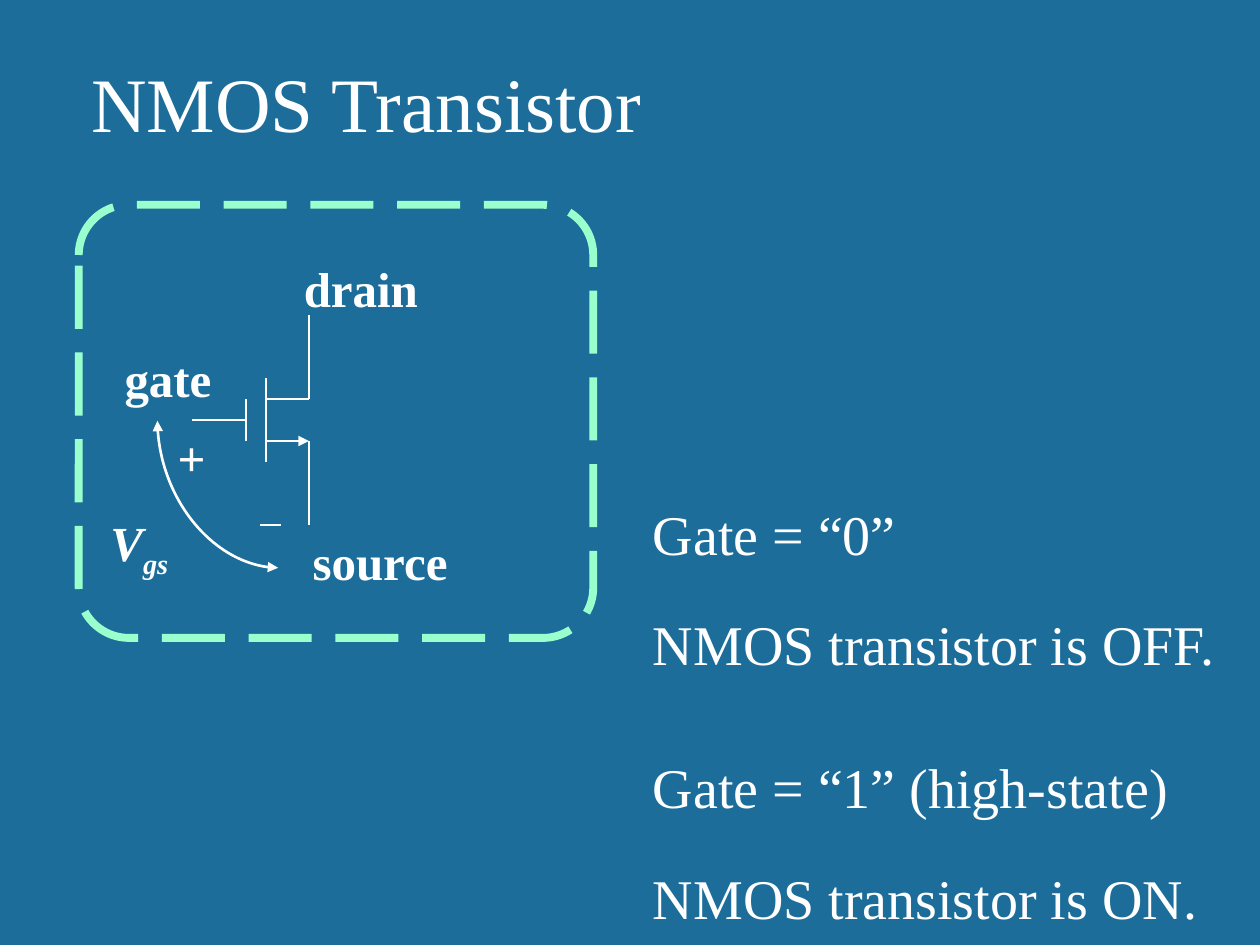
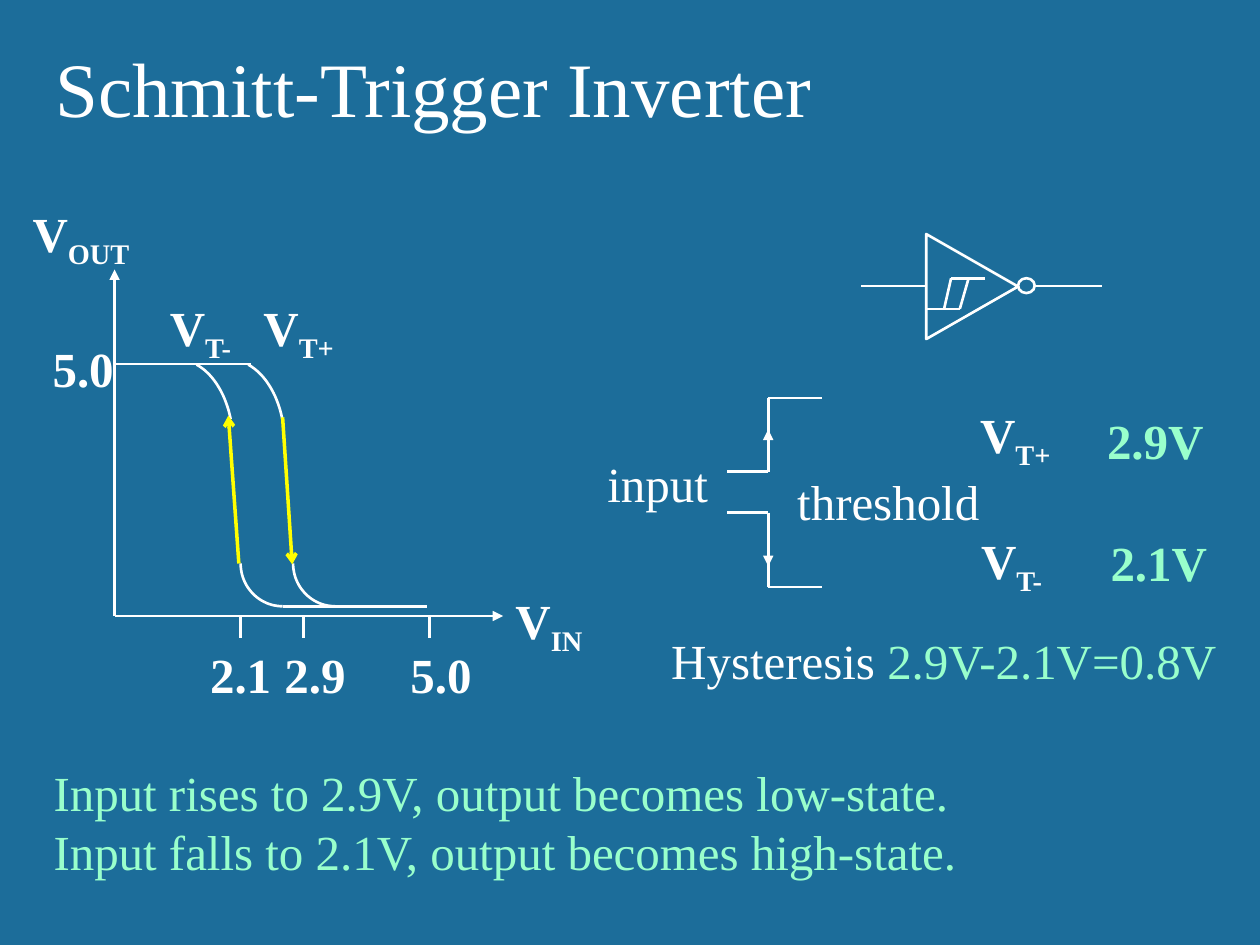
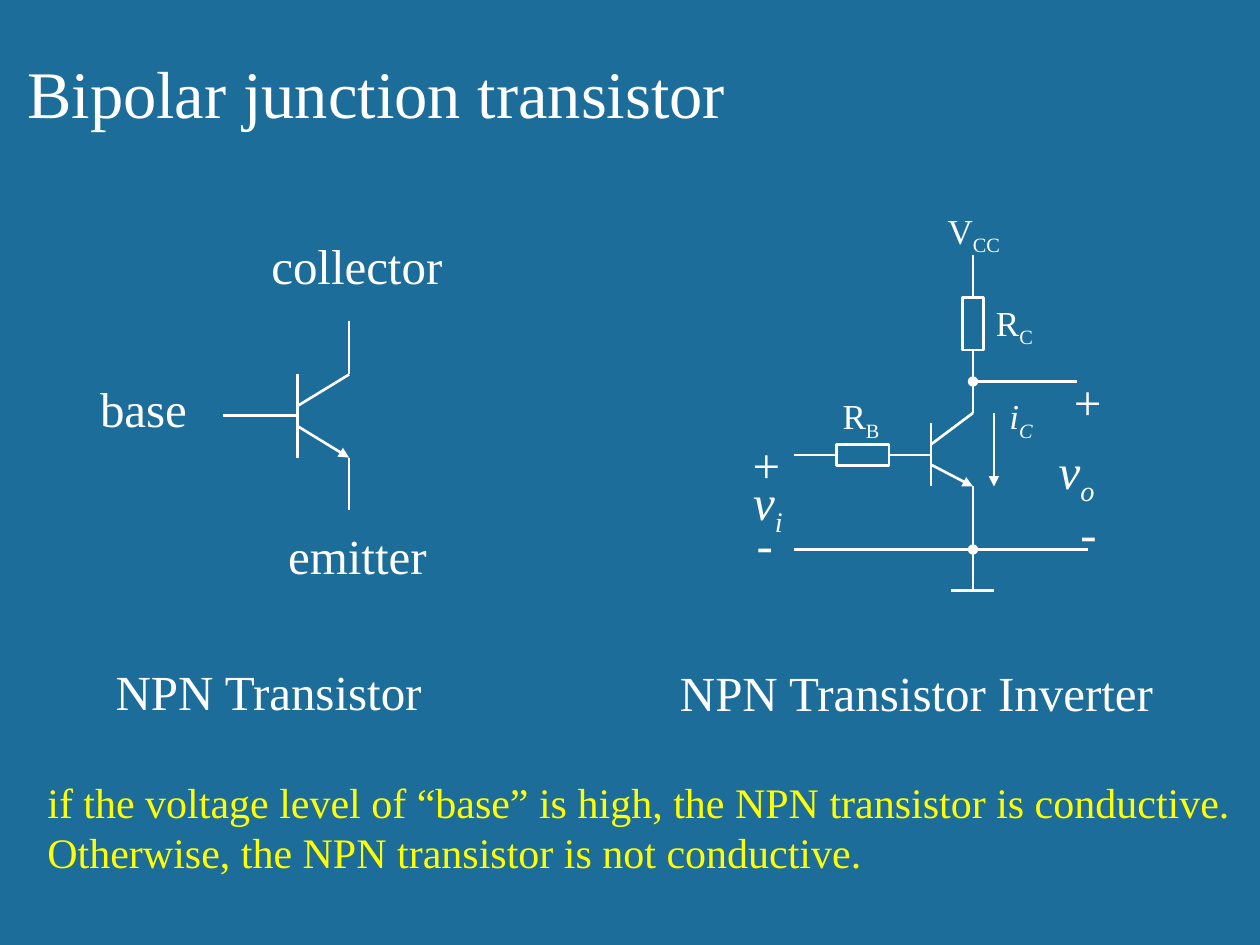
from dataclasses import dataclass
from math import cos, radians, sin

from lxml import etree
from pptx import Presentation
from pptx.dml.color import RGBColor
from pptx.enum.dml import MSO_LINE
from pptx.enum.shapes import MSO_CONNECTOR, MSO_SHAPE
from pptx.enum.text import MSO_ANCHOR, MSO_AUTO_SIZE, PP_ALIGN
from pptx.oxml.ns import qn
from pptx.shapes.autoshape import Shape
from pptx.shapes.connector import Connector
from pptx.slide import Slide
from pptx.util import Pt

STRAIGHT, CURVE = MSO_CONNECTOR.STRAIGHT, MSO_CONNECTOR.CURVE
RECTANGLE, ROUNDED = MSO_SHAPE.RECTANGLE, MSO_SHAPE.ROUNDED_RECTANGLE
TRIANGLE, OVAL = MSO_SHAPE.ISOSCELES_TRIANGLE, MSO_SHAPE.OVAL
LONG_DASH = MSO_LINE.LONG_DASH
TOP, BOTTOM = MSO_ANCHOR.TOP, MSO_ANCHOR.BOTTOM
LEFT, CENTER = PP_ALIGN.LEFT, PP_ALIGN.CENTER
GROW = MSO_AUTO_SIZE.SHAPE_TO_FIT_TEXT
SITE_TOP, SITE_LEFT, SITE_BOTTOM, SITE_RIGHT = range(4)

Point = tuple[float, float]


@dataclass(frozen=True)
class Theme:
    font: str = "Times New Roman"
    background: RGBColor = RGBColor(0x1C, 0x6D, 0x9A)
    white: RGBColor = RGBColor(0xFF, 0xFF, 0xFF)
    mint: RGBColor = RGBColor(0x99, 0xFF, 0xCC)
    yellow: RGBColor = RGBColor(0xFF, 0xFF, 0x00)
    title: float = 44
    long_title: float = 38
    body: float = 32
    label: float = 28
    note: float = 24
    small: float = 20
    wire: float = 1.5
    path_arrow: float = 2
    frame: float = 4.5


THEME = Theme()


@dataclass(frozen=True)
class Span:
    text: str
    subscript: bool = False
    color: RGBColor | None = None


Line = tuple[Span, ...]


@dataclass(frozen=True)
class Label:
    x: float
    y: float
    width: float
    lines: tuple[Line, ...]
    size: float = THEME.label
    color: RGBColor = THEME.white
    bold: bool = False
    italic: bool = False
    align: PP_ALIGN = LEFT
    anchor: MSO_ANCHOR = TOP
    wrap: bool = False
    line_spacing: float = 1.0
    gaps: tuple[float, ...] = ()


@dataclass(frozen=True)
class Wire:
    x1: float
    y1: float
    x2: float
    y2: float
    head: str = ""
    tail: str = ""
    color: RGBColor = THEME.white
    weight: float = THEME.wire


@dataclass(frozen=True)
class Outline:
    kind: MSO_SHAPE
    x: float
    y: float
    width: float
    height: float
    color: RGBColor = THEME.white
    weight: float = THEME.wire
    rotation: float = 0


def symbol(text: str, subscript: str = "") -> tuple[Line, ...]:
    """One line of text with an optional subscript."""
    if subscript:
        return ((Span(text), Span(subscript, subscript=True)),)
    return ((Span(text),),)


def plain_lines(*texts: str) -> tuple[Line, ...]:
    return tuple((Span(text),) for text in texts)


def draw_label(page: Slide, label: Label) -> None:
    height = 1.2 * label.size * len(label.lines) + 7.2
    box = page.shapes.add_textbox(Pt(label.x), Pt(label.y), Pt(label.width), Pt(height))
    frame = box.text_frame
    frame.word_wrap = label.wrap
    frame.auto_size = GROW
    frame.vertical_anchor = label.anchor
    for index, line in enumerate(label.lines):
        para = frame.paragraphs[0] if index == 0 else frame.add_paragraph()
        para.alignment = label.align
        para.line_spacing = label.line_spacing
        if index and label.gaps:
            para.space_before = Pt(label.gaps[index - 1])
        for part in line:
            span = para.add_run()
            span.text = part.text
            span.font.name = THEME.font
            span.font.size = Pt(label.size)
            span.font.bold = label.bold
            span.font.italic = label.italic
            span.font.color.rgb = part.color or label.color
            if part.subscript:
                span._r.get_or_add_rPr().set("baseline", "-25000")


def draw_labels(page: Slide, labels: list[Label]) -> None:
    for label in labels:
        draw_label(page, label)


def draw_wire(page: Slide, wire: Wire, kind: MSO_CONNECTOR = STRAIGHT) -> Connector:
    connector = page.shapes.add_connector(
        kind, Pt(wire.x1), Pt(wire.y1), Pt(wire.x2), Pt(wire.y2))
    connector.line.color.rgb = wire.color
    connector.line.width = Pt(wire.weight)
    line = connector.line._get_or_add_ln()
    for tag, end in (("a:headEnd", wire.head), ("a:tailEnd", wire.tail)):
        if end:
            etree.SubElement(line, qn(tag)).set("type", end)
    etree.SubElement(connector._element.spPr, qn("a:effectLst"))
    return connector


def draw_wires(page: Slide, wires: list[Wire]) -> None:
    for wire in wires:
        draw_wire(page, wire)


def draw_chain(page: Slide, *points: Point) -> None:
    """Join successive points with plain wires."""
    for start, end in zip(points, points[1:]):
        draw_wire(page, Wire(*start, *end))


def style_outline(shape: Shape, color: RGBColor, weight: float) -> None:
    shape.shadow.inherit = False
    shape.fill.background()
    shape.line.color.rgb = color
    shape.line.width = Pt(weight)


def draw_outline(page: Slide, outline: Outline) -> Shape:
    shape = page.shapes.add_shape(outline.kind, Pt(outline.x), Pt(outline.y),
                                  Pt(outline.width), Pt(outline.height))
    shape.rotation = outline.rotation
    style_outline(shape, outline.color, outline.weight)
    return shape


def draw_arc(page: Slide, center: Point, radii: Point, start: int, end: int) -> None:
    """Trace part of an ellipse; angles in degrees run clockwise from the right."""
    steps = 24
    angles = [radians(start + (end - start) * step / steps) for step in range(steps + 1)]
    points = [(Pt(center[0] + radii[0] * cos(angle)), Pt(center[1] + radii[1] * sin(angle)))
              for angle in angles]
    builder = page.shapes.build_freeform(*points[0])
    builder.add_line_segments(points[1:], close=False)
    style_outline(builder.convert_to_shape(), THEME.white, THEME.wire)


def add_page(deck: Presentation, title: str, x: float, y: float,
             size: float = THEME.title) -> Slide:
    page = deck.slides.add_slide(deck.slide_layouts[6])
    page.background.fill.solid()
    page.background.fill.fore_color.rgb = THEME.background
    draw_label(page, Label(x, y, 612, symbol(title), size, anchor=BOTTOM, wrap=True))
    return page


def build_nmos(deck: Presentation) -> None:
    page = add_page(deck, "NMOS Transistor", 45, 28)
    draw_label(page, Label(
        366, 262.5, 351,
        plain_lines("Gate = “0”", "NMOS transistor is OFF.",
                    "Gate = “1” (high-state)", "NMOS transistor is ON."),
        THEME.body, line_spacing=1.5, gaps=(5.4, 24.3, 5.4)))

    voltage = draw_wire(page, Wire(159, 324.5, 90, 240.5, "triangle", "triangle"), CURVE)
    voltage._element.spPr.find(qn("a:prstGeom")).set("prst", "curvedConnector2")
    draw_wires(page, [
        Wire(140.5, 228, 140.5, 252),
        Wire(152, 216, 152, 264),
        Wire(152, 252, 176.5, 252, tail="triangle"),
        Wire(176.5, 252, 176.5, 300),
        Wire(140.5, 240, 110, 240),
        Wire(148.5, 300, 160.5, 300),
    ])
    draw_chain(page, (152, 228), (176.5, 228), (176.5, 180))
    draw_labels(page, [
        Label(166.5, 144, 95, symbol("drain"), bold=True),
        Label(171.5, 300, 106, symbol("source"), bold=True),
        Label(63.5, 195.5, 65, symbol("gate"), bold=True, align=CENTER),
        Label(94.5, 240.5, 31, symbol("+"), bold=True),
        Label(56, 289.5, 50, symbol("V", "gs"), bold=True, italic=True),
    ])
    frame = draw_outline(page, Outline(ROUNDED, 45, 117, 294, 247.5,
                                       THEME.mint, THEME.frame))
    frame.adjustments[0] = 0.116
    frame.line.dash_style = LONG_DASH


def draw_hysteresis_curve(page: Slide) -> None:
    origin_x, axis_y, low_y = 65.5, 352, 346.5
    draw_wires(page, [
        Wire(origin_x, axis_y, 287.5, axis_y, tail="triangle"),
        Wire(origin_x, axis_y, origin_x, 154, tail="triangle"),
        Wire(origin_x, 208, 143.5, 208),
        Wire(161.5, low_y, 244, low_y),
    ])
    for tick_x, label_x, value in ((137.5, 113, "2.1"), (173.5, 155.5, "2.9"),
                                   (245.5, 227.5, "5.0")):
        draw_wire(page, Wire(tick_x, axis_y, tick_x, 364.5))
        draw_label(page, Label(label_x, 364.5, 49.5, symbol(value), bold=True))
    for shoulder_x, foot_x in ((101.5, 161.5), (131, 191.5)):
        draw_arc(page, (shoulder_x, 253.5), (31.7, 48), -70, -17)
        draw_arc(page, (foot_x, 322), (24, 24.5), 90, 180)
    draw_wires(page, [
        Wire(161.5, 238.5, 167, 322.5, tail="arrow",
             color=THEME.yellow, weight=THEME.path_arrow),
        Wire(130.5, 237.5, 136.5, 322, head="arrow",
             color=THEME.yellow, weight=THEME.path_arrow),
    ])
    draw_labels(page, [
        Label(11.5, 112.5, 75.5, symbol("V", "OUT"), bold=True),
        Label(287.5, 334, 56, symbol("V", "IN"), bold=True),
        Label(23, 190, 49.5, symbol("5.0"), bold=True),
        Label(143.5, 166.5, 60.5, symbol("V", "T+"), bold=True),
        Label(90, 166.5, 53.5, symbol("V", "T-"), bold=True),
    ])


def draw_inverter_symbol(page: Slide) -> None:
    draw_outline(page, Outline(TRIANGLE, 525.5, 137.5, 60, 52.5, rotation=90))
    draw_outline(page, Outline(OVAL, 581.75, 159, 9.5, 8.5))
    draw_wires(page, [
        Wire(591, 163.5, 629.5, 163.5),
        Wire(529, 163.5, 492, 163.5),
        Wire(553.5, 159, 548.5, 176.5),
        Wire(529, 176.5, 548.5, 176.5),
    ])
    draw_chain(page, (563, 159), (543.5, 159), (539.5, 176.5))


def build_schmitt(deck: Presentation) -> None:
    page = add_page(deck, "Schmitt-Trigger Inverter", 24.5, 19.5)
    draw_hysteresis_curve(page)
    draw_inverter_symbol(page)

    for start_y, end_y, arrow_from, arrow_to in ((269.5, 227.5, 257, 245.5),
                                                 (293, 335.5, 311, 323.5)):
        draw_chain(page, (415.5, start_y), (439, start_y), (439, end_y), (469.5, end_y))
        draw_wire(page, Wire(439, arrow_from, 439, arrow_to, tail="triangle"))
    draw_labels(page, [
        Label(340, 255.5, 72.5, symbol("input")),
        Label(448.5, 262.5, 119.5, symbol("threshold"), line_spacing=1.1),
        Label(553, 227.5, 60.5, symbol("V", "T+"), bold=True),
        Label(553.5, 299.5, 53.5, symbol("V", "T-"), bold=True),
        Label(625.5, 231, 71, symbol("2.9V"), color=THEME.mint, bold=True),
        Label(627.5, 301, 71, symbol("2.1V"), color=THEME.mint, bold=True),
        Label(376.5, 356.5, 329,
              ((Span("Hysteresis"), Span(" 2.9V-2.1V=0.8V", color=THEME.mint)),)),
        Label(23.5, 432, 535.5,
              plain_lines("Input rises to 2.9V, output becomes low-state.",
                          "Input falls to 2.1V, output becomes high-state."),
              color=THEME.mint),
    ])


def draw_npn_transistor(page: Slide) -> None:
    draw_wires(page, [
        Wire(170, 214, 170, 261.5),
        Wire(170, 243.5, 199.5, 261.5, tail="triangle"),
        Wire(199.5, 261.5, 199.5, 291.5),
        Wire(170, 237.5, 127.5, 237.5),
    ])
    draw_chain(page, (170, 232), (199.5, 214), (199.5, 183.5))
    draw_labels(page, [
        Label(49.5, 212.5, 65, symbol("base"), align=CENTER),
        Label(147.5, 131, 113, symbol("collector"), align=CENTER),
        Label(157, 296.5, 94.5, symbol("emitter"), align=CENTER),
        Label(59, 374.5, 191.5, symbol("NPN Transistor")),
    ])


def draw_npn_inverter(page: Slide) -> None:
    collector_resistor = draw_outline(page, Outline(RECTANGLE, 550, 170, 12, 30))
    base_resistor = draw_outline(page, Outline(RECTANGLE, 478, 254, 30, 12))
    for wire, resistor, site in (
        (Wire(556, 170, 556, 146), collector_resistor, SITE_TOP),
        (Wire(556, 200, 556, 236), collector_resistor, SITE_BOTTOM),
        (Wire(478, 260, 453.5, 260), base_resistor, SITE_LEFT),
        (Wire(508, 260, 532, 260), base_resistor, SITE_RIGHT),
    ):
        draw_wire(page, wire).begin_connect(resistor, site)
    draw_wires(page, [
        Wire(532, 242, 532, 278),
        Wire(532, 254, 556, 236),
        Wire(532, 265.5, 556, 278, tail="triangle"),
        Wire(556, 278, 556, 314, tail="oval"),
        Wire(556, 218, 615.5, 218, head="oval"),
        Wire(453.5, 314, 622, 314),
        Wire(556, 314, 556, 337.5),
        Wire(543.5, 337.5, 568, 337.5),
        Wire(568, 236, 568, 278, tail="triangle"),
    ])
    draw_labels(page, [
        Label(532, 116, 49, symbol("V", "CC"), THEME.small, align=CENTER),
        Label(473, 222, 38, symbol("R", "B"), THEME.small, align=CENTER),
        Label(561.5, 168.5, 36.5, symbol("R", "C"), THEME.small, align=CENTER),
        Label(569, 222, 29, symbol("i", "C"), THEME.small, italic=True, align=CENTER),
        Label(597, 248, 36.5, symbol("v", "o"), italic=True, align=CENTER),
        Label(606, 209, 31, symbol("+"), align=CENTER),
        Label(610, 283.5, 24, symbol("-"), align=CENTER),
        Label(422.5, 266, 32.5, symbol("v", "i"), italic=True, align=CENTER),
        Label(422.5, 245, 31, symbol("+"), align=CENTER),
        Label(425, 290, 24, symbol("-"), align=CENTER),
        Label(381.5, 375, 288, symbol("NPN Transistor Inverter")),
    ])


def build_bipolar(deck: Presentation) -> None:
    page = add_page(deck, "Bipolar junction transistor", 8.5, 26, THEME.long_title)
    draw_npn_transistor(page)
    draw_npn_inverter(page)
    draw_label(page, Label(
        20, 440, 700,
        plain_lines("if the voltage level of “base” is high, the NPN transistor is conductive.",
                    "Otherwise, the NPN transistor is not conductive."),
        THEME.note, THEME.yellow, wrap=True))


def main() -> None:
    deck = Presentation()
    deck.slide_width, deck.slide_height = Pt(720), Pt(540)
    build_nmos(deck)
    build_schmitt(deck)
    build_bipolar(deck)
    deck.save("out.pptx")


if __name__ == "__main__":
    main()
